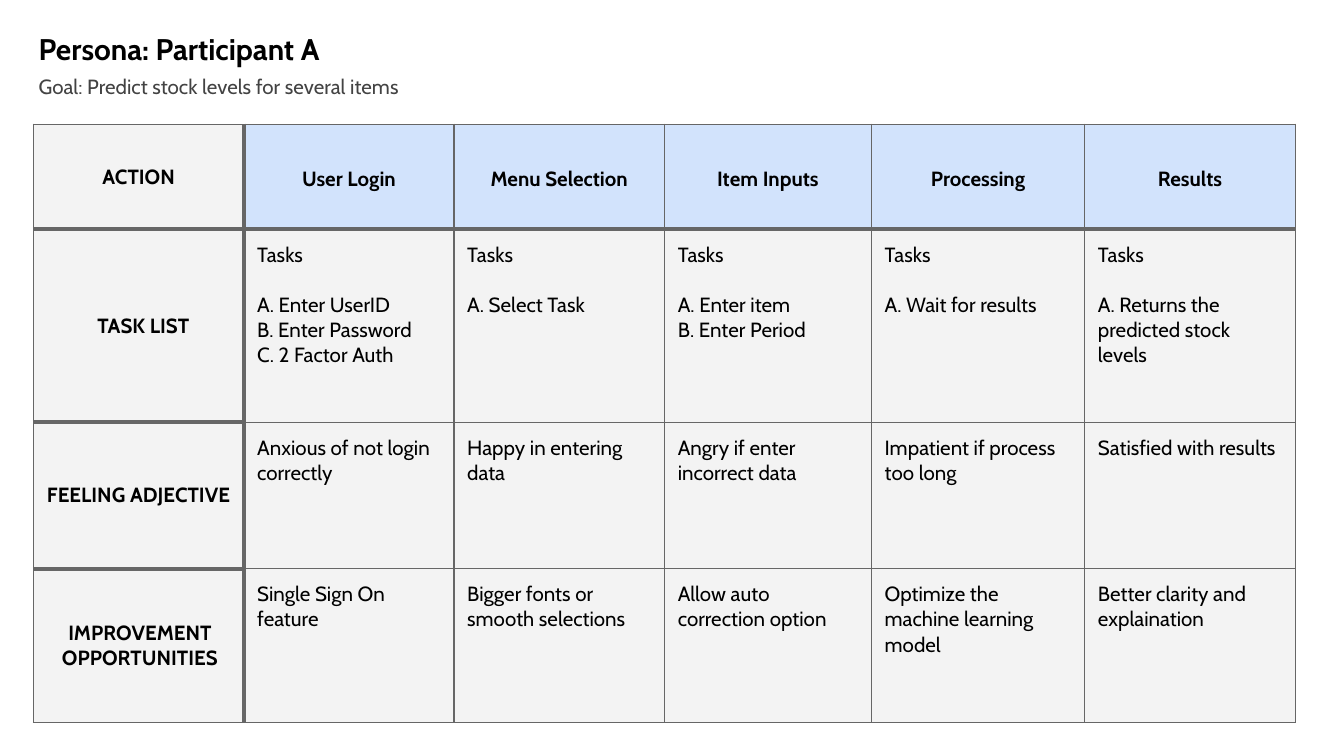
"""Builds a one-slide persona journey table for a stock prediction tool."""
import dataclasses

import lxml.etree
import pptx
import pptx.dml.color
import pptx.enum.text
import pptx.oxml.ns
import pptx.util

Cm = pptx.util.Cm
Pt = pptx.util.Pt
RGB = pptx.dml.color.RGBColor.from_string
Align = pptx.enum.text.PP_ALIGN
Anchor = pptx.enum.text.MSO_ANCHOR


@dataclasses.dataclass(frozen=True)
class Theme:
    font: str = "Cabin"
    ink: str = "000000"
    muted: str = "434343"
    header_fill: str = "D2E3FC"
    cell_fill: str = "F3F3F3"
    border: str = "666666"
    title_size: float = 16
    text_size: float = 11
    task_gap: float = 13.4
    header_spacing: float = 1.15
    thin: float = 0.75
    heavy: float = 2.25
    inset: float = 0.25


THEME = Theme()

TITLE = "Persona: Participant A"
GOAL = "Goal: Predict stock levels for several items"
STAGES = ["User Login", "Menu Selection", "Item Inputs", "Processing", "Results"]
TASKS = [
    ["A. Enter UserID", "B. Enter Password", "C. 2 Factor Auth"],
    ["A. Select Task"],
    ["A. Enter item", "B. Enter Period"],
    ["A. Wait for results"],
    ["A. Returns the predicted stock levels"],
]
FEELINGS = [
    "Anxious of not login correctly",
    "Happy in entering data",
    "Angry if enter incorrect data",
    "Impatient if process too long",
    "Satisfied with results",
]
IMPROVEMENTS = [
    "Single Sign On feature",
    "Bigger fonts or smooth selections",
    "Allow auto correction option",
    "Optimize the machine learning model",
    "Better clarity and explaination",
]
ROWS = [
    ("ACTION", [[stage] for stage in STAGES]),
    ("TASK LIST", [["Tasks"] + tasks for tasks in TASKS]),
    ("FEELING ADJECTIVE", [[feeling] for feeling in FEELINGS]),
    ("IMPROVEMENT OPPORTUNITIES", [[idea] for idea in IMPROVEMENTS]),
]
LABEL_INSETS = [0.25, 0.43, 0.25, 0.3]
COLUMN_WIDTHS = [3.98, 3.97, 3.98, 3.91, 4.03, 3.98]
ROW_HEIGHTS = [1.98, 3.65, 2.77, 2.91]


def write(frame, lines, size, color, bold=False, align=Align.LEFT):
    frame.text = "\n".join(lines)
    for para in frame.paragraphs:
        para.alignment = align
        para.space_before = Pt(0)
        para.font.name = THEME.font
        para.font.size = Pt(size)
        para.font.bold = bold
        para.font.color.rgb = RGB(color)


def place_heading(box, text, position, size, color, bold):
    box.left, box.top, box.width, box.height = [Cm(value) for value in position]
    frame = box.text_frame
    frame.margin_left = frame.margin_right = Cm(THEME.inset)
    frame.margin_top = frame.margin_bottom = Cm(THEME.inset)
    frame.vertical_anchor = Anchor.TOP
    frame.auto_size = pptx.enum.text.MSO_AUTO_SIZE.NONE
    frame.word_wrap = True
    write(frame, [text], size, color, bold)


def draw_borders(cell, row, column):
    is_label = column == 0
    heavy_edges = {
        "a:lnL": column == 1,
        "a:lnR": is_label,
        "a:lnT": row == 1 or (is_label and row > 0),
        "a:lnB": row == 0 or (is_label and row < len(ROWS) - 1),
    }
    qn = pptx.oxml.ns.qn
    properties = cell._tc.get_or_add_tcPr()
    for tag, is_heavy in heavy_edges.items():
        weight = Pt(THEME.heavy if is_heavy else THEME.thin)
        line = lxml.etree.SubElement(properties, qn(tag), w=str(weight))
        fill = lxml.etree.SubElement(line, qn("a:solidFill"))
        lxml.etree.SubElement(fill, qn("a:srgbClr"), val=THEME.border)


def fill_cell(cell, row, column, lines):
    is_label = column == 0
    is_stage = row == 0 and not is_label
    is_heading = is_label or is_stage
    left = LABEL_INSETS[row] if is_label else THEME.inset
    cell.margin_left = Cm(left)
    cell.margin_right = cell.margin_top = cell.margin_bottom = Cm(THEME.inset)
    cell.vertical_anchor = Anchor.MIDDLE if is_heading else Anchor.TOP
    align = Align.CENTER if is_heading else Align.LEFT
    write(cell.text_frame, lines, THEME.text_size, THEME.ink, is_heading, align)
    first = cell.text_frame.paragraphs[0]
    if is_stage:
        first.line_spacing = THEME.header_spacing
    if len(lines) > 1:
        first.space_after = Pt(THEME.task_gap)
    draw_borders(cell, row, column)
    cell.fill.solid()
    cell.fill.fore_color.rgb = RGB(THEME.header_fill if is_stage else THEME.cell_fill)


def add_journey(slide):
    frame = slide.shapes.add_table(
        len(ROWS), len(COLUMN_WIDTHS), Cm(0.63), Cm(2.35),
        Cm(sum(COLUMN_WIDTHS)), Cm(sum(ROW_HEIGHTS)))
    table = frame.table
    table.first_row = table.horz_banding = False
    for column, width in zip(table.columns, COLUMN_WIDTHS):
        column.width = Cm(width)
    for table_row, height in zip(table.rows, ROW_HEIGHTS):
        table_row.height = Cm(height)
    for row, (label, entries) in enumerate(ROWS):
        for column, lines in enumerate([[label]] + entries):
            fill_cell(table.cell(row, column), row, column, lines)


def main():
    deck = pptx.Presentation()
    deck.slide_width, deck.slide_height = Cm(25.4), Cm(14.29)
    slide = deck.slides.add_slide(deck.slide_layouts[0])
    title, goal = slide.placeholders
    place_heading(title, TITLE, (0.48, 0.33, 9.27, 1.12),
                  THEME.title_size, THEME.ink, True)
    place_heading(goal, GOAL, (0.48, 1.14, 23.57, 0.76),
                  THEME.text_size, THEME.muted, False)
    add_journey(slide)
    deck.save("out.pptx")


if __name__ == "__main__":
    main()
